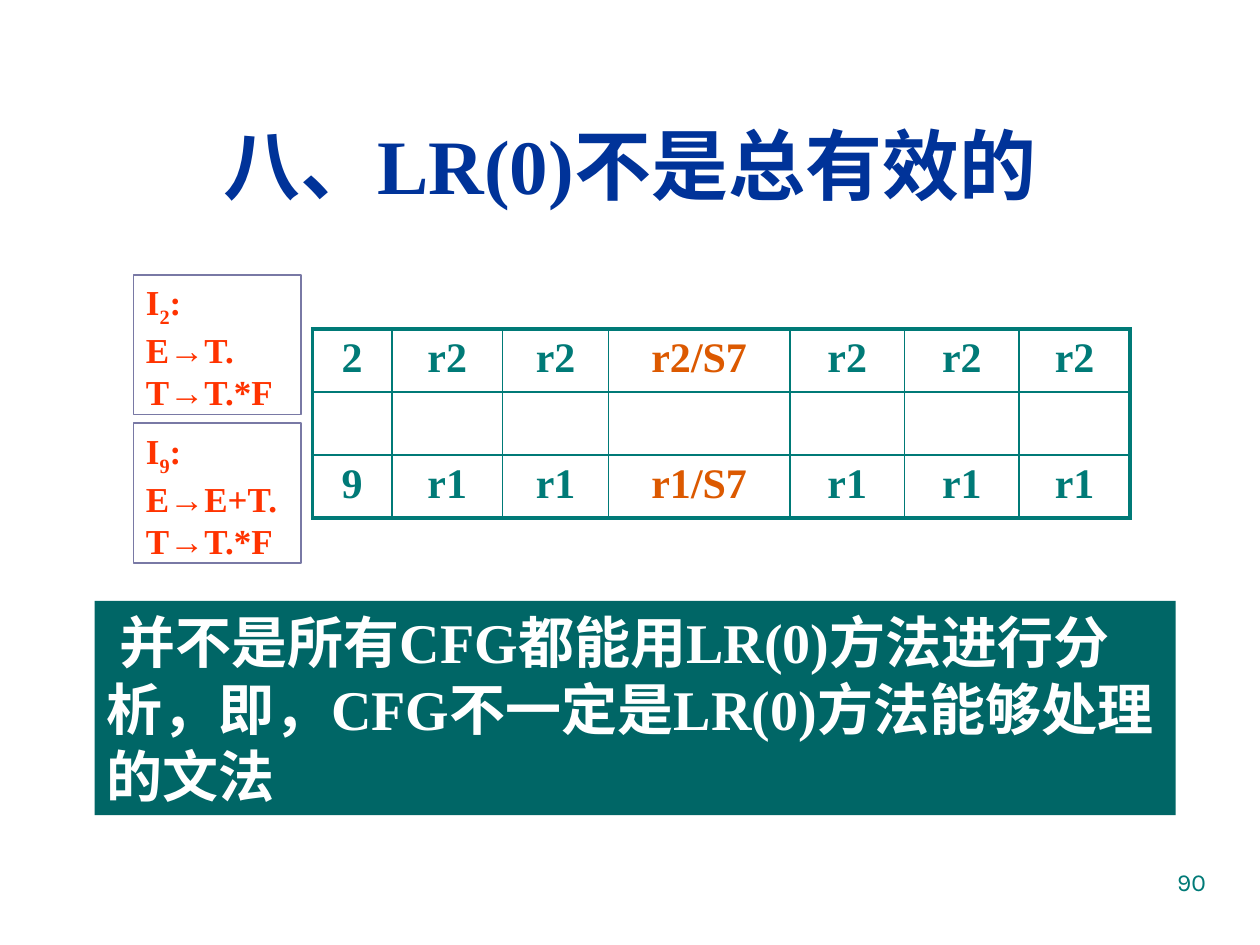
from dataclasses import dataclass

from lxml.etree import SubElement
from pptx import Presentation
from pptx.dml.color import RGBColor
from pptx.enum.shapes import MSO_SHAPE as Shape
from pptx.enum.text import MSO_ANCHOR as Anchor, MSO_AUTO_SIZE as AutoSize, PP_ALIGN as Align
from pptx.oxml.ns import qn
from pptx.util import Inches, Pt


@dataclass(frozen=True)
class Theme:
    """Fonts, type sizes, line widths and colours of the slide."""
    serif: str = "Times New Roman"
    sans: str = "Karla"
    title_size: int = 44
    banner_size: int = 32
    table_size: int = 24
    items_size: int = 20
    number_size: int = 14
    thin: float = 1
    thick: float = 2.25
    navy: str = "003399"
    teal: str = "007A77"
    deep_teal: str = "006666"
    orange: str = "DC5900"
    red: str = "FF3300"
    lilac: str = "7979A5"
    white: str = "FFFFFF"


THEME = Theme()

ACTIONS = [
    ["2", "r2", "r2", "r2/S7", "r2", "r2", "r2"],
    [""] * 7,
    ["9", "r1", "r1", "r1/S7", "r1", "r1", "r1"],
]
COLUMN_WIDTHS = [0.63, 0.88, 0.84, 1.44, 0.91, 0.91, 0.88]
ROW_HEIGHT = 0.47
ITEM_SETS = [("2", ["E→T.", "T→T.*F"]), ("9", ["E→E+T.", "T→T.*F"])]


def style(paragraph, size, color, align=Align.LEFT, name=THEME.serif, bold=True):
    """Set the alignment and font of a paragraph."""
    paragraph.alignment = align
    font = paragraph.font
    font.name, font.size, font.bold = name, Pt(size), bold
    font.color.rgb = RGBColor.from_string(color)


def add_label(slide, box, text, anchor=Anchor.TOP, **look):
    """Add a wrapped one-paragraph text box."""
    frame = slide.shapes.add_textbox(*map(Inches, box)).text_frame
    frame.word_wrap = True
    frame.vertical_anchor = anchor
    frame.text = text
    style(frame.paragraphs[0], **look)


def add_panel(slide, box, fill=None, line=None):
    """Add a rectangle that grows with its text and return its text frame."""
    panel = slide.shapes.add_shape(Shape.RECTANGLE, *map(Inches, box))
    panel.shadow.inherit = False
    if fill:
        panel.fill.solid()
        panel.fill.fore_color.rgb = RGBColor.from_string(fill)
    else:
        panel.fill.background()
    if line:
        panel.line.color.rgb = RGBColor.from_string(line)
        panel.line.width = Pt(THEME.thin)
    else:
        panel.line.fill.background()
    frame = panel.text_frame
    frame.word_wrap = True
    frame.vertical_anchor = Anchor.TOP
    frame.auto_size = AutoSize.SHAPE_TO_FIT_TEXT
    return frame


def add_item_set(slide, box, state, productions):
    """Add a box with a state name and its productions."""
    frame = add_panel(slide, box, line=THEME.lilac)
    heading = frame.paragraphs[0]
    for text in ("I", state, ":"):
        run = heading.add_run()
        run.text = text
        if text == state:
            run.font._element.set("baseline", "-25000")
    for production in productions:
        frame.add_paragraph().text = production
    for paragraph in frame.paragraphs:
        style(paragraph, THEME.items_size, THEME.red)


def set_borders(cell, outer_edges):
    """Draw the four cell borders, thick on the outer edges of the table."""
    properties = cell._tc.get_or_add_tcPr()
    for edge in "LRTB":
        width = THEME.thick if edge in outer_edges else THEME.thin
        border = SubElement(properties, qn(f"a:ln{edge}"), w=str(Pt(width)))
        SubElement(SubElement(border, qn("a:solidFill")), qn("a:srgbClr"), val=THEME.teal)


def add_action_table(slide, left, top):
    """Add the parsing table with its conflicts highlighted."""
    row_count, column_count = len(ACTIONS), len(COLUMN_WIDTHS)
    table = slide.shapes.add_table(
        row_count, column_count, Inches(left), Inches(top),
        Inches(sum(COLUMN_WIDTHS)), Inches(ROW_HEIGHT * row_count)).table
    table.first_row = table.horz_banding = False
    for column, width in zip(table.columns, COLUMN_WIDTHS):
        column.width = Inches(width)
    for r, actions in enumerate(ACTIONS):
        table.rows[r].height = Inches(ROW_HEIGHT)
        for c, action in enumerate(actions):
            cell = table.cell(r, c)
            outer = {"L": c == 0, "R": c == column_count - 1,
                     "T": r == 0, "B": r == row_count - 1}
            set_borders(cell, [edge for edge in outer if outer[edge]])
            cell.fill.background()
            cell.text = action
            color = THEME.orange if "/" in action else THEME.teal
            style(cell.text_frame.paragraphs[0], THEME.table_size, color, Align.CENTER)


def main():
    """Build the slide and save it."""
    deck = Presentation()
    deck.slide_width, deck.slide_height = Inches(10), Inches(7.5)
    slide = deck.slides.add_slide(deck.slide_layouts[6])

    add_label(slide, (0.33, 0.67, 9.34, 1.25), "八、LR(0)不是总有效的", Anchor.MIDDLE,
              size=THEME.title_size, color=THEME.navy, align=Align.CENTER)
    add_action_table(slide, 2.48, 2.61)
    add_label(slide, (7.17, 6.83, 2.5, 0.52), "90", size=THEME.number_size,
              color=THEME.teal, align=Align.RIGHT, name=THEME.sans, bold=False)

    conclusion = add_panel(slide, (0.75, 4.77, 8.58, 1.7), fill=THEME.deep_teal)
    conclusion.text = " 并不是所有CFG都能用LR(0)方法进行分析，即，CFG不一定是LR(0)方法能够处理的文法"
    style(conclusion.paragraphs[0], THEME.banner_size, THEME.white)

    for index, (state, productions) in enumerate(ITEM_SETS):
        add_item_set(slide, (1.06, 2.18 + 1.18 * index, 1.33, 1.11), state, productions)

    deck.save("out.pptx")


if __name__ == "__main__":
    main()
